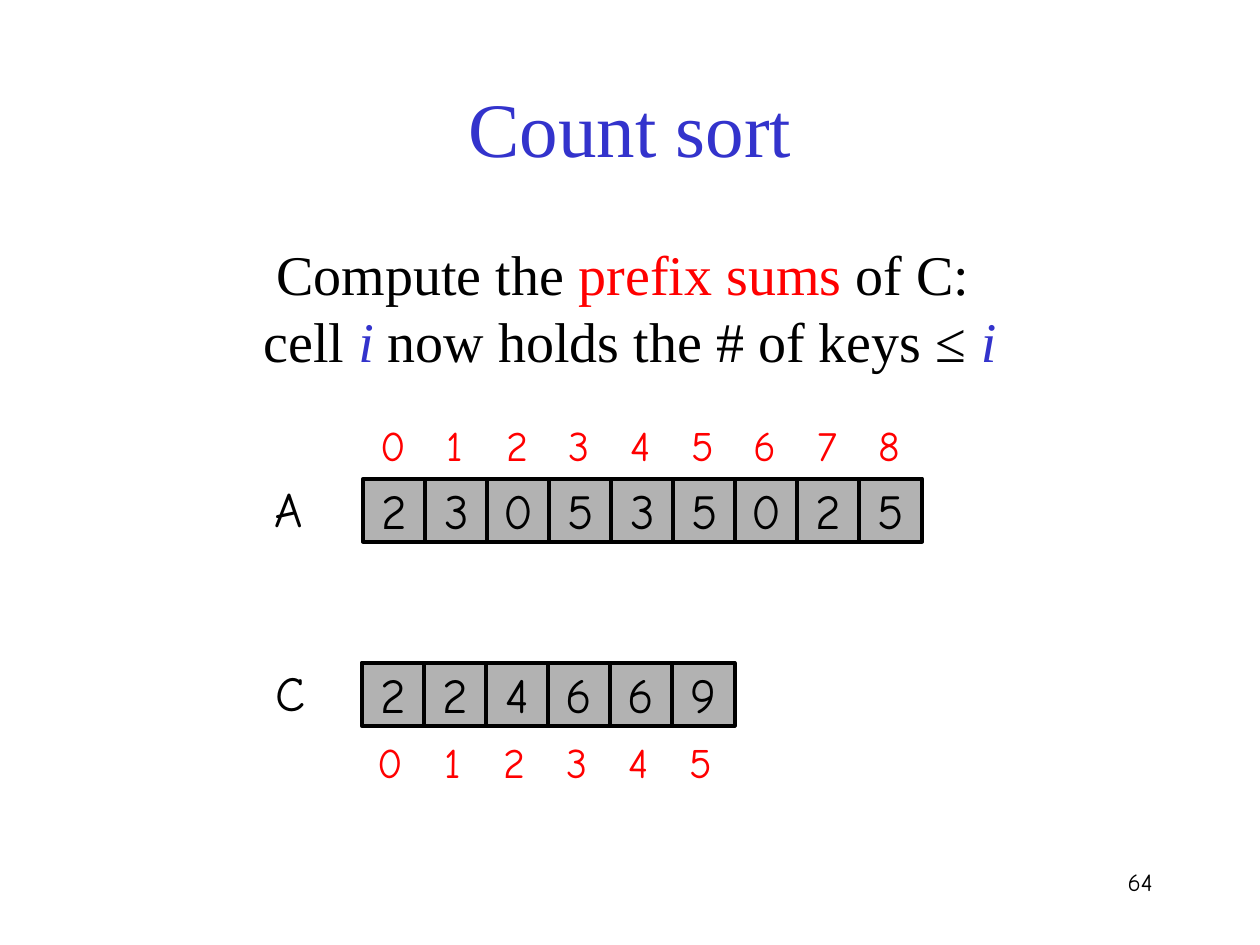
from pptx import Presentation
from pptx.dml.color import RGBColor as RGB
from pptx.enum.shapes import MSO_SHAPE as Shape
from pptx.enum.text import MSO_ANCHOR as Anchor, PP_ALIGN as Align
from pptx.util import Cm, Pt

HUES = {"ink": "000000", "blue": "3333CC", "red": "FF0000",
        "gray": "B2B2B2", "white": "FFFFFF"}
HAND, SERIF = "Comic Neue", "Times New Roman"
SIDE, STEP = 1.27, 1.25


def write(para, text, hue, **form):
    run = para.add_run()
    run.text = text
    run.font.color.rgb = RGB.from_string(HUES[hue])
    for key, value in form.items():
        setattr(run.font, key, value)


def add_box(left, top, width, height, align, anchor=Anchor.TOP):
    frame = slide.shapes.add_textbox(
        Cm(left), Cm(top), Cm(width), Cm(height)).text_frame
    frame.word_wrap = True
    frame.vertical_anchor = anchor
    para = frame.paragraphs[0]
    para.alignment = align
    return para


deck = Presentation()
deck.slide_width, deck.slide_height = Cm(25.4), Cm(19.05)
slide = deck.slides.add_slide(deck.slide_layouts[6])

# Title
para = add_box(0, 1.5, 25.4, 2.13, Align.CENTER, Anchor.MIDDLE)
write(para, "Count sort", "blue", name=SERIF, size=Pt(44))

# Statement in two lines
para = add_box(0, 4.7, 25.4, 3.35, Align.CENTER)
lines = [
    [("Compute the ", "ink"), ("prefix sums ", "red"), ("of C: ", "ink")],
    [("cell ", "ink"), ("i", "blue"),
     (" now holds the # of keys ≤ ", "ink"), ("i", "blue")],
]
for num, line in enumerate(lines):
    if num:
        para.add_line_break()
    for text, hue in line:
        write(para, text, hue, name=SERIF, size=Pt(32), italic=hue == "blue")

# Array names
for text, left, top in [("A", 5.28, 9.53), ("C", 5.31, 13.23)]:
    para = add_box(left, top, 1.32, 1.45, Align.LEFT)
    write(para, text, "ink", name=HAND, size=Pt(28))

# Array cells, and index rows as groups
cell = {"fill": "gray", "hue": "ink", "size": 28, "edge": True}
index = {"fill": "white", "hue": "red", "size": 24, "edge": False}
rows = [
    ("230535025", 7.32, 9.65, cell),
    ("224669", 7.29, 13.36, cell),
    ("012345678", 7.29, 8.33, index),
    ("012345", 7.24, 14.73, index),
]
for digits, left, top, look in rows:
    home = slide.shapes
    if look is index:
        home = home.add_group_shape().shapes
    for col, digit in enumerate(digits):
        box = home.add_shape(Shape.RECTANGLE, Cm(left + col * STEP), Cm(top),
                             Cm(SIDE), Cm(SIDE))
        box.shadow.inherit = False
        box.fill.solid()
        box.fill.fore_color.rgb = RGB.from_string(HUES[look["fill"]])
        if look["edge"]:
            box.line.color.rgb = RGB.from_string(HUES["ink"])
            box.line.width = Pt(2.25)
        else:
            box.line.fill.background()
        frame = box.text_frame
        frame.word_wrap = False
        frame.vertical_anchor = Anchor.MIDDLE
        para = frame.paragraphs[0]
        para.alignment = Align.CENTER
        write(para, digit, look["hue"], name=HAND, size=Pt(look["size"]))

# Page number
para = add_box(18.21, 17.35, 5.28, 1.27, Align.RIGHT)
write(para, "64", "ink", name=HAND, size=Pt(14))

deck.save("out.pptx")
